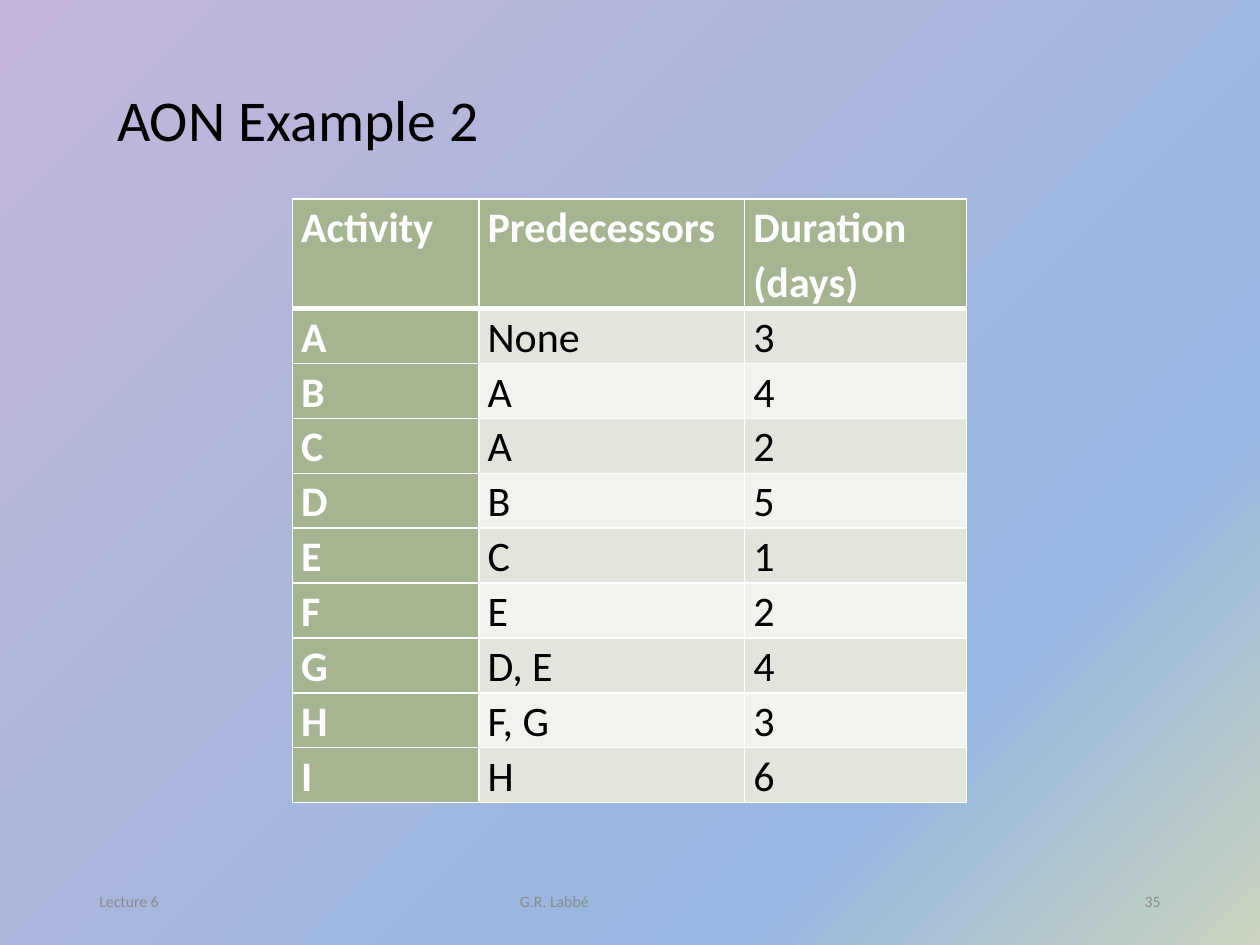
from lxml.etree import SubElement
from pptx import Presentation
from pptx.dml.color import RGBColor
from pptx.enum.text import MSO_ANCHOR as Anchor, PP_ALIGN as Align
from pptx.oxml import parse_xml
from pptx.oxml.ns import nsdecls, qn
from pptx.util import Inches, Pt

FONT = "Calibri"
COLORS = {
    "text": "000000", "white": "FFFFFF", "footer": "8C8C8C",
    "head": "A5B592", "odd": "E1E5DC", "even": "F0F3EE",
    "corner": "C9D3BE", "middle": "96B7E1", "far": "C4B6D9",
}
ROWS = [
    ("Activity", "Predecessors", "Duration (days)"),
    ("A", "None", "3"),
    ("B", "A", "4"),
    ("C", "A", "2"),
    ("D", "B", "5"),
    ("E", "C", "1"),
    ("F", "E", "2"),
    ("G", "D, E", "4"),
    ("H", "F, G", "3"),
    ("I", "H", "6"),
]
COLUMN_WIDTHS = (1.48, 2.11, 1.76)
ROW_HEIGHT = 0.43
FOOTER_TOP, FOOTER_HEIGHT = 6.95, 0.4


def color(name):
    return RGBColor.from_string(COLORS[name])


def add_run(paragraph, text, size, color_name, bold=False):
    run = paragraph.add_run()
    run.text = text
    run.font.name = FONT
    run.font.size = Pt(size)
    run.font.bold = bold
    run.font.color.rgb = color(color_name)


def set_background(slide):
    """Radial gradient that spreads from the bottom right corner."""
    stops = "".join(
        f'<a:gs pos="{share * 1000}"><a:srgbClr val="{COLORS[name]}"/></a:gs>'
        for share, name in ((0, "corner"), (24, "middle"), (100, "far")))
    background = parse_xml(
        f'<p:bg {nsdecls("p", "a")}><p:bgPr><a:gradFill rotWithShape="1">'
        f'<a:gsLst>{stops}</a:gsLst><a:path path="circle">'
        '<a:fillToRect l="100000" t="100000"/></a:path></a:gradFill>'
        '<a:effectLst/></p:bgPr></p:bg>')
    slide.element.cSld.insert(0, background)


def set_title(slide, text):
    title = slide.shapes.title
    title.left, title.top = Inches(0.83), Inches(0.25)
    title.width, title.height = Inches(8.62), Inches(1.45)
    title.text_frame.vertical_anchor = Anchor.MIDDLE
    paragraph = title.text_frame.paragraphs[0]
    paragraph.alignment = Align.LEFT
    paragraph.line_spacing = 0.9
    add_run(paragraph, text, 33, "text")


def add_borders(cell, top, bottom):
    properties = cell._tc.get_or_add_tcPr()
    for side, width in (("L", 1), ("R", 1), ("T", top), ("B", bottom)):
        line = SubElement(properties, qn(f"a:ln{side}"), w=str(Pt(width)))
        fill = SubElement(line, qn("a:solidFill"))
        SubElement(fill, qn("a:srgbClr"), val=COLORS["white"])


def fill_cell(cell, text, row, column):
    is_head = row == 0 or column == 0
    add_borders(cell, top=3 if row == 1 else 1, bottom=3 if row == 0 else 1)
    cell.fill.solid()
    cell.fill.fore_color.rgb = color(
        "head" if is_head else "odd" if row % 2 else "even")
    cell.margin_left = cell.margin_right = Inches(0.07)
    cell.margin_top = cell.margin_bottom = 0
    paragraph = cell.text_frame.paragraphs[0]
    paragraph.line_spacing = 1.07
    paragraph.space_after = Pt(8)
    add_run(paragraph, text, 24, "white" if is_head else "text", is_head)


def add_activity_table(slide):
    table = slide.shapes.add_table(
        len(ROWS), len(COLUMN_WIDTHS), Inches(2.32), Inches(1.58),
        Inches(sum(COLUMN_WIDTHS)), Inches(ROW_HEIGHT * (len(ROWS) + 1))).table
    table.first_col = True
    for column, width in zip(table.columns, COLUMN_WIDTHS):
        column.width = Inches(width)
    for row, values in enumerate(ROWS):
        # The header takes two lines
        table.rows[row].height = Inches(ROW_HEIGHT * (1 if row else 2))
        for column, text in enumerate(values):
            fill_cell(table.cell(row, column), text, row, column)


def add_footer(slide, text, left, width, alignment, right_inset=0.1):
    box = slide.shapes.add_textbox(
        Inches(left), Inches(FOOTER_TOP), Inches(width), Inches(FOOTER_HEIGHT))
    frame = box.text_frame
    frame.word_wrap = True
    frame.vertical_anchor = Anchor.MIDDLE
    frame.margin_right = Inches(right_inset)
    frame.paragraphs[0].alignment = alignment
    add_run(frame.paragraphs[0], text, 9, "footer")


def main():
    presentation = Presentation()
    presentation.slide_width, presentation.slide_height = Inches(10), Inches(7.5)
    slide = presentation.slides.add_slide(presentation.slide_layouts[5])

    set_background(slide)
    set_title(slide, "AON Example 2")
    add_activity_table(slide)

    # Footer line; the name sits left of the middle
    add_footer(slide, "Lecture 6", 0.69, 2.25, Align.LEFT)
    add_footer(slide, "G.R. Labbé", 3.31, 3.38, Align.CENTER, right_inset=1.3)
    add_footer(slide, "35", 7.06, 2.25, Align.RIGHT)

    presentation.save("out.pptx")


if __name__ == "__main__":
    main()
